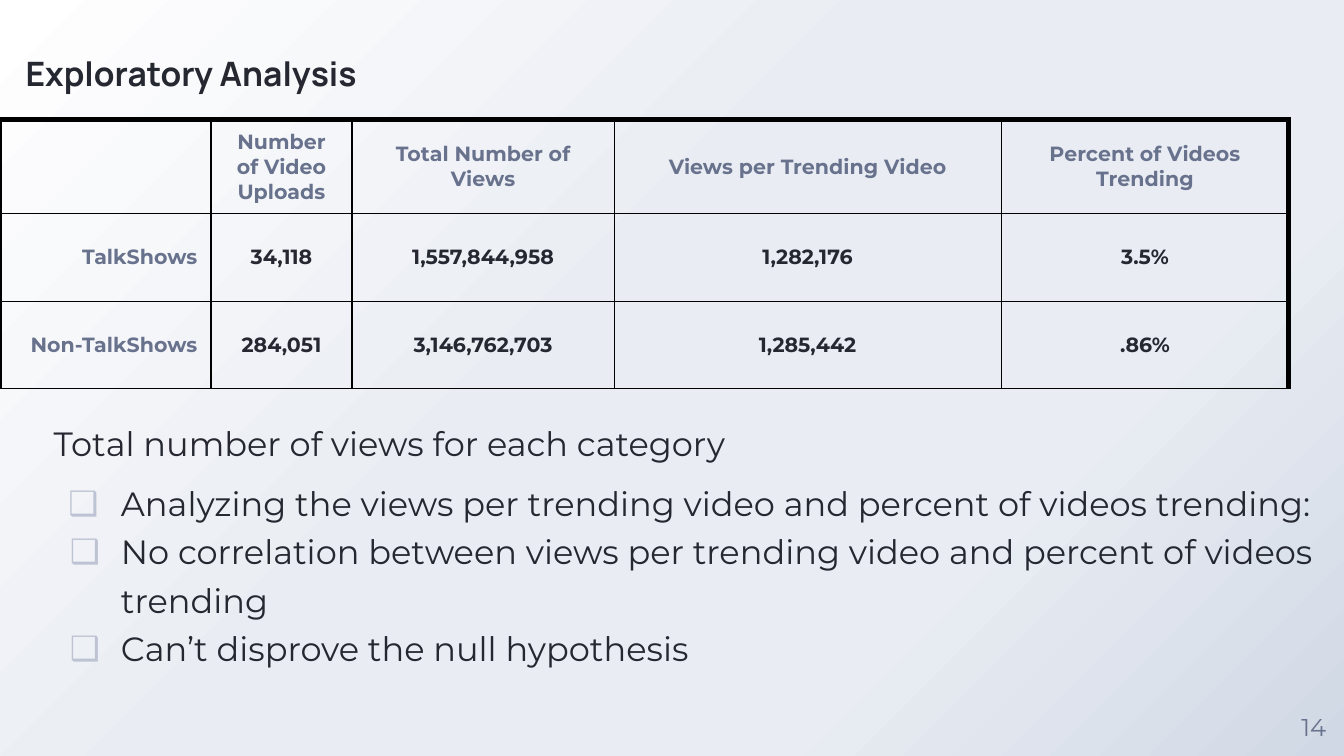
import pptx
import pptx.dml.color
import pptx.enum.text
import pptx.oxml
import pptx.oxml.ns
import pptx.util
from lxml import etree

Inches = pptx.util.Inches
Pt = pptx.util.Pt
ALIGN = pptx.enum.text.PP_ALIGN
ANCHOR = pptx.enum.text.MSO_ANCHOR
COLORS = {"ink": "252831", "muted": "68728D", "bullet": "BDC3D3", "border": "000000",
          "white": "FFFFFF", "pale": "E9EDF3", "haze": "D0D8E5"}
NAMESPACES = pptx.oxml.ns.nsdecls("a", "p")


def style(paragraph, size, color, font="Montserrat", bold=False, align=ALIGN.LEFT):
    paragraph.alignment = align
    paragraph.font.name = font
    paragraph.font.size = Pt(size)
    paragraph.font.bold = bold
    paragraph.font.color.rgb = pptx.dml.color.RGBColor.from_string(COLORS[color])


def add_text_frame(left, top, width, height, anchor):
    """Add a wrapping text box without insets and return its text frame."""
    box = slide.shapes.add_textbox(Inches(left), Inches(top), Inches(width), Inches(height))
    frame = box.text_frame
    frame.word_wrap = True
    frame.vertical_anchor = anchor
    frame.margin_left = frame.margin_top = frame.margin_right = frame.margin_bottom = 0
    return frame


presentation = pptx.Presentation()
presentation.slide_width = Inches(10)
presentation.slide_height = Inches(10 * 9 / 16)
slide = presentation.slides.add_slide(presentation.slide_layouts[6])

# Background: radial gradient from the top left corner
stops = "".join(
    f'<a:gs pos="{position * 1000}"><a:srgbClr val="{COLORS[color]}"/></a:gs>'
    for position, color in [(0, "white"), (44, "pale"), (72, "pale"), (100, "haze")])
background = pptx.oxml.parse_xml(
    f'<p:bg {NAMESPACES}><p:bgPr><a:gradFill><a:gsLst>{stops}</a:gsLst>'
    '<a:path path="circle"><a:fillToRect r="100000" b="100000"/></a:path>'
    '</a:gradFill><a:effectLst/></p:bgPr></p:bg>')
slide.shapes._spTree.addprevious(background)

# Title
title = add_text_frame(0.19, 0.24, 3.92, 0.45, ANCHOR.BOTTOM).paragraphs[0]
title.text = "Exploratory Analysis"
style(title, 18, "ink", font="Manrope", bold=True)

# Table
rows = [
    ["", "Number of Video Uploads", "Total Number of Views", "Views per Trending Video",
     "Percent of Videos Trending"],
    ["TalkShows", "34,118", "1,557,844,958", "1,282,176", "3.5%"],
    ["Non-TalkShows", "284,051", "3,146,762,703", "1,285,442", ".86%"],
]
column_widths = [1.57, 1.05, 1.95, 2.88, 2.14]
row_height = 0.65
table = slide.shapes.add_table(
    len(rows), len(column_widths), Inches(0), Inches(0.89),
    Inches(sum(column_widths)), Inches(row_height * len(rows))).table
table.first_row = False
table.horz_banding = False
for column, width in zip(table.columns, column_widths):
    column.width = Inches(width)

for row_index, values in enumerate(rows):
    table.rows[row_index].height = Inches(row_height)
    for column_index, value in enumerate(values):
        cell = table.cell(row_index, column_index)
        cell.text = value
        cell.vertical_anchor = ANCHOR.MIDDLE
        cell.margin_left = cell.margin_right = Inches(0.1)
        cell.margin_top = cell.margin_bottom = Pt(5.4)
        is_label = row_index == 0 or column_index == 0
        style(cell.text_frame.paragraphs[0], 11, "muted" if is_label else "ink", bold=True,
              align=ALIGN.RIGHT if column_index == 0 else ALIGN.CENTER)
        thick_sides = {"lnL": column_index == 0,
                       "lnR": column_index == len(values) - 1,
                       "lnT": row_index == 0,
                       "lnB": False}
        cell_properties = cell._tc.get_or_add_tcPr()
        for side, is_thick in thick_sides.items():
            cell_properties.append(pptx.oxml.parse_xml(
                f'<a:{side} {NAMESPACES} w="{Pt(3 if is_thick else 0.75)}"><a:solidFill>'
                f'<a:srgbClr val="{COLORS["border"]}"/></a:solidFill></a:{side}>'))
        cell.fill.background()

# Slide number
number = add_text_frame(9.55, 5.18, 0.45, 0.45, ANCHOR.MIDDLE).paragraphs[0]
number.text = "14"
style(number, 13, "muted", align=ALIGN.CENTER)

# Findings
findings = [
    "Total number of views for each category",
    "Analyzing the views per trending video and percent of videos trending:",
    "No correlation between views per trending video and percent of videos trending",
    "Can’t disprove the null hypothesis",
]
body = add_text_frame(0.4, 3.09, 9.46, 1.9, ANCHOR.TOP)
for index, finding in enumerate(findings):
    paragraph = body.paragraphs[0] if index == 0 else body.add_paragraph()
    paragraph.text = finding
    if index > 0:
        properties = paragraph._p.get_or_add_pPr()
        properties.set("marL", str(Inches(0.5)))
        properties.set("indent", str(Inches(-0.39 if index == 1 else -0.38)))
        bullet_color = etree.SubElement(properties, pptx.oxml.ns.qn("a:buClr"))
        etree.SubElement(bullet_color, pptx.oxml.ns.qn("a:srgbClr"), val=COLORS["bullet"])
        etree.SubElement(properties, pptx.oxml.ns.qn("a:buFont"), typeface="Montserrat")
        etree.SubElement(properties, pptx.oxml.ns.qn("a:buChar"), char="❑")
    paragraph.line_spacing = 1.2
    paragraph.space_before = Pt(6 if index == 1 else 0)
    style(paragraph, 18, "ink")

presentation.save("out.pptx")
